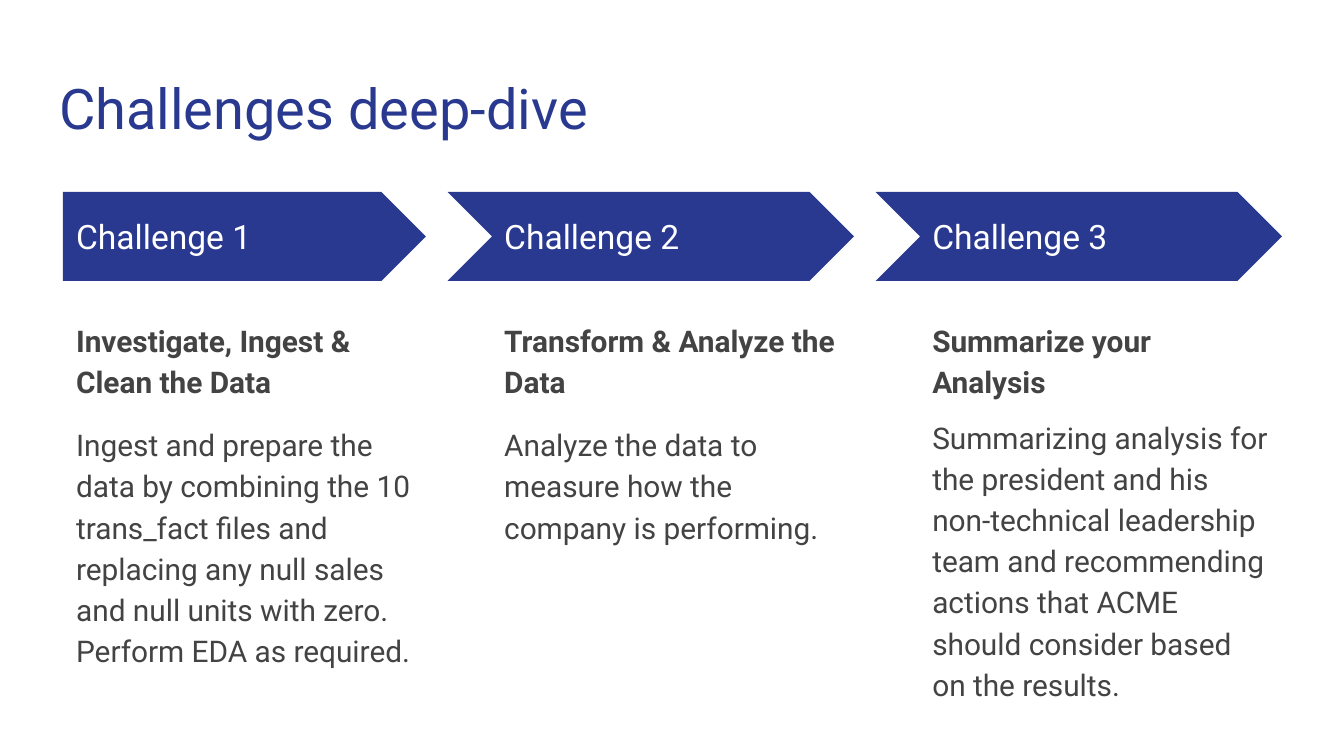
from pptx import Presentation
from pptx.dml.color import RGBColor
from pptx.enum.shapes import MSO_SHAPE
from pptx.enum.text import MSO_ANCHOR, PP_ALIGN
from pptx.util import Cm, Pt

PENTAGON, CHEVRON = MSO_SHAPE.PENTAGON, MSO_SHAPE.CHEVRON
TOP, MIDDLE = MSO_ANCHOR.TOP, MSO_ANCHOR.MIDDLE
LEFT = PP_ALIGN.LEFT

NAVY = RGBColor(0x2A, 0x39, 0x90)
GRAY = RGBColor(0x43, 0x43, 0x43)
WHITE = RGBColor(0xFF, 0xFF, 0xFF)
FONT = "Roboto"

# Content: label, heading, description, space before and after the description (pt)
TITLE = "Challenges deep-dive"
CHALLENGES = [
    ("Challenge 1", "Investigate, Ingest & Clean the Data",
     "Ingest and prepare the data by combining the 10 trans_fact files and "
     "replacing any null sales and null units with zero. Perform EDA as required.",
     12, 0),
    ("Challenge 2", "Transform & Analyze the Data",
     "Analyze the data to measure how the company is performing.",
     12, 0),
    ("Challenge 3", "Summarize your Analysis",
     "Summarizing analysis for the president and his non-technical leadership "
     "team and recommending actions that ACME should consider based on the results.",
     8, 8),
]

# Layout in centimetres
COLUMN_LEFT, COLUMN_PITCH, COLUMN_WIDTH = 1.19, 8.09, 6.86
NOTCH = 0.82  # a chevron starts this far left of its column
ARROW_TOP, ARROW_HEIGHT = 3.63, 1.68
LABEL_TOP, LABEL_WIDTH, LABEL_HEIGHT = 4.04, 6.27, 0.86
BODY_TOP, BODY_HEIGHT = 5.74, 7.37
INSET = 0.25


def add_text_box(slide, left, top, width, height, anchor=TOP):
    box = slide.shapes.add_textbox(Cm(left), Cm(top), Cm(width), Cm(height))
    frame = box.text_frame
    frame.word_wrap = True
    frame.vertical_anchor = anchor
    frame.margin_left = frame.margin_right = Cm(INSET)
    frame.margin_top = frame.margin_bottom = Cm(INSET)
    return frame


def add_run(paragraph, text, size, color, bold=False):
    paragraph.alignment = LEFT
    run = paragraph.add_run()
    run.text = text
    run.font.name = FONT
    run.font.size = Pt(size)
    run.font.bold = bold
    run.font.color.rgb = color


def add_arrow(slide, preset, left, width):
    arrow = slide.shapes.add_shape(
        preset, Cm(left), Cm(ARROW_TOP), Cm(width), Cm(ARROW_HEIGHT))
    arrow.adjustments[0] = 0.5
    arrow.shadow.inherit = False
    arrow.fill.solid()
    arrow.fill.fore_color.rgb = NAVY
    arrow.line.fill.background()


presentation = Presentation()
presentation.slide_width = Cm(25.4)
presentation.slide_height = Cm(14.29)
slide = presentation.slides.add_slide(presentation.slide_layouts[6])

# Title
title = add_text_box(slide, 0.87, 1.14, 23.67, 1.68)
add_run(title.paragraphs[0], TITLE, 30, NAVY)

# One column per challenge
for index, (label, heading, description, before, after) in enumerate(CHALLENGES):
    left = COLUMN_LEFT + index * COLUMN_PITCH

    # Arrow: the first has a flat back, the others a notch
    if index == 0:
        add_arrow(slide, PENTAGON, left, COLUMN_WIDTH)
    else:
        add_arrow(slide, CHEVRON, left - NOTCH, COLUMN_WIDTH + NOTCH)

    # Label on the arrow
    frame = add_text_box(slide, left, LABEL_TOP, LABEL_WIDTH, LABEL_HEIGHT, MIDDLE)
    add_run(frame.paragraphs[0], label, 18, WHITE)

    # Heading and description
    frame = add_text_box(slide, left, BODY_TOP, COLUMN_WIDTH, BODY_HEIGHT)
    heading_paragraph = frame.paragraphs[0]
    heading_paragraph.line_spacing = 1.15
    add_run(heading_paragraph, heading, 16, GRAY, bold=True)
    description_paragraph = frame.add_paragraph()
    description_paragraph.line_spacing = 1.15
    description_paragraph.space_before = Pt(before)
    description_paragraph.space_after = Pt(after)
    add_run(description_paragraph, description, 16, GRAY)

presentation.save("out.pptx")
